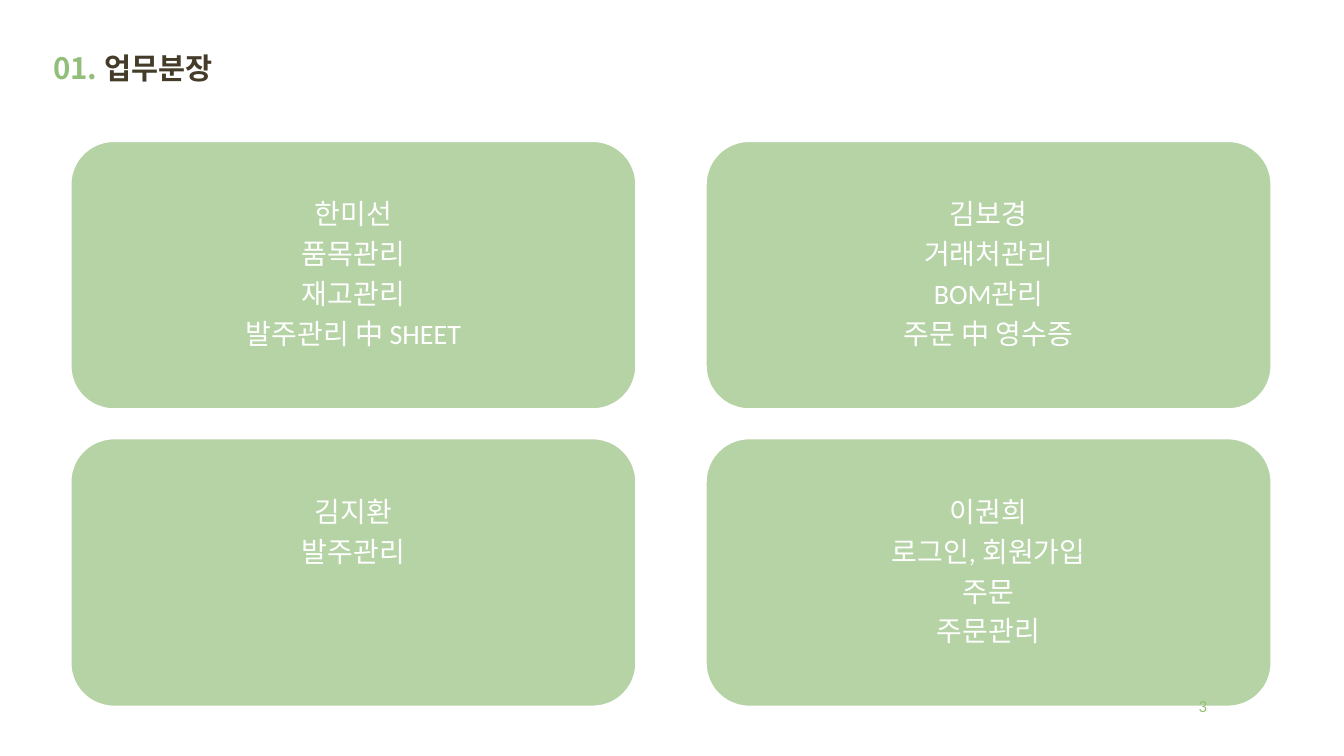
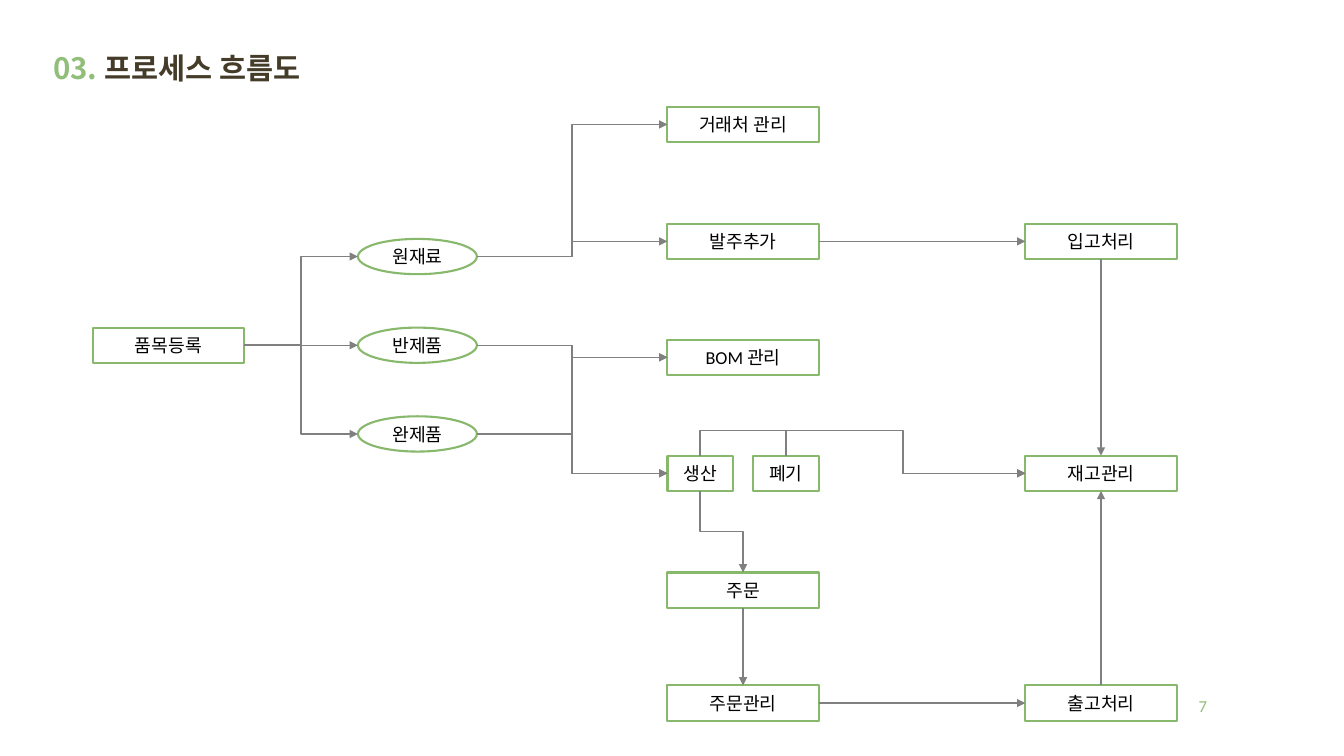
import pptx
import pptx.util
from pptx.dml.color import RGBColor
from pptx.enum.shapes import MSO_CONNECTOR, MSO_SHAPE
from pptx.enum.text import MSO_ANCHOR, PP_ALIGN
from pptx.oxml.ns import qn
from pptx.util import Inches
from lxml import etree

GREEN = RGBColor(0x91, 0xBE, 0x78)
CARD_GREEN = RGBColor(0xB5, 0xD3, 0xA5)
OUTLINE_GREEN = RGBColor(0x87, 0xB8, 0x6C)
BROWN = RGBColor(0x44, 0x3C, 0x29)
GRAY = RGBColor(0x80, 0x80, 0x80)
WHITE = RGBColor(0xFF, 0xFF, 0xFF)
BLACK = RGBColor(0, 0, 0)
LATIN = "Calibri"
HANGUL = "Noto Sans CJK KR"
TOP, LEFT, BOTTOM, RIGHT = range(4)

CARDS = [
    ["한미선", "품목관리", "재고관리", "발주관리 中 SHEET"],
    ["김보경", "거래처관리", "BOM관리", "주문 中 영수증"],
    ["김지환", "발주관리"],
    ["이권희", "로그인, 회원가입", "주문", "주문관리"],
]

BOXES = [
    ("품목등록", 0.92, 3.25, 1.5),
    ("거래처 관리", 6.62, 1.06, 1.5),
    ("발주추가", 6.62, 2.22, 1.5),
    ("BOM 관리", 6.62, 3.37, 1.5),
    ("생산", 6.62, 4.52, 0.65),
    ("폐기", 7.47, 4.52, 0.65),
    ("주문", 6.62, 5.68, 1.5),
    ("주문관리", 6.62, 6.8, 1.5),
    ("입고처리", 10.17, 2.22, 1.5),
    ("재고관리", 10.17, 4.52, 1.5),
    ("출고처리", 10.17, 6.8, 1.5),
]
MATERIALS = ["원재료", "반제품", "완제품"]

ELBOWS = [
    ("품목등록", "원재료"),
    ("품목등록", "완제품"),
    ("원재료", "거래처 관리"),
    ("원재료", "발주추가"),
    ("반제품", "BOM 관리"),
    ("완제품", "BOM 관리"),
    ("반제품", "생산"),
    ("완제품", "생산"),
]
STRAIGHTS = [
    ("품목등록", RIGHT, "반제품", LEFT),
    ("발주추가", RIGHT, "입고처리", LEFT),
    ("주문관리", RIGHT, "출고처리", LEFT),
    ("주문", BOTTOM, "주문관리", TOP),
    ("입고처리", BOTTOM, "재고관리", TOP),
    ("출고처리", TOP, "재고관리", BOTTOM),
]


def style_run(r, size, color, latin=LATIN, bold=False):
    """Set the font of a run for Latin and Hangul letters."""
    r.font.size = pptx.util.Pt(size)
    r.font.bold = bold
    r.font.color.rgb = color
    r.font.name = latin
    etree.SubElement(r.font._element, qn("a:ea"), typeface=HANGUL)


def add_label(s, left, top, width, height):
    """Add a wrapping, vertically centred text box and return its paragraph."""
    tf = s.shapes.add_textbox(*map(Inches, (left, top, width, height))).text_frame
    tf.word_wrap = True
    tf.vertical_anchor = MSO_ANCHOR.MIDDLE
    return tf.paragraphs[0]


def add_title(s, number, title):
    """Add the numbered slide title."""
    p = add_label(s, 0.43, 0.37, 4.36, 0.64)
    p.line_spacing = 0.9
    for text, color in ((number + " ", GREEN), (title, BROWN)):
        r = p.add_run()
        r.text = text
        style_run(r, 21, color, HANGUL, True)


def add_page_number(s, number):
    """Add the page number at the lower right."""
    p = add_label(s, 10.2, 6.8, 1.87, 0.4)
    p.text = str(number)
    p.alignment = PP_ALIGN.RIGHT
    style_run(p.runs[0], 12, GREEN)


def add_box(s, kind, lines, place, size, color):
    """Add a shape with centred lines of text."""
    sp = s.shapes.add_shape(kind, *map(Inches, place))
    sp.shadow.inherit = False
    tf = sp.text_frame
    tf.word_wrap = True
    tf.vertical_anchor = MSO_ANCHOR.MIDDLE
    tf.text = "\n".join(lines)
    for p in tf.paragraphs:
        p.alignment = PP_ALIGN.CENTER
        style_run(p.runs[0], size, color)
    return sp


def add_card(s, lines, left, top):
    """Add a rounded card listing a member and the assigned tasks."""
    sp = add_box(s, MSO_SHAPE.ROUNDED_RECTANGLE, lines, (left, top, 5.65, 2.7), 20, WHITE)
    sp.fill.solid()
    sp.fill.fore_color.rgb = CARD_GREEN
    sp.line.color.rgb = WHITE
    sp.line.width = pptx.util.Pt(4.25)
    tf = sp.text_frame
    tf.vertical_anchor = MSO_ANCHOR.TOP
    tf.margin_top = Inches(0.38)
    for p in tf.paragraphs:
        p.line_spacing = pptx.util.Pt(28.5)


def add_node(s, kind, text, left, top, width):
    """Add an outlined step of the flow chart."""
    sp = add_box(s, kind, [text], (left, top, width, 0.35), 13, BLACK)
    sp.fill.background()
    sp.line.color.rgb = OUTLINE_GREEN
    sp.line.width = pptx.util.Pt(1.5)
    return sp


def side(sp, index):
    """Return the middle of a side of a shape."""
    dx, dy = {TOP: (1, 0), LEFT: (0, 1), BOTTOM: (1, 2), RIGHT: (2, 1)}[index]
    return sp.left + sp.width * dx // 2, sp.top + sp.height * dy // 2


def add_arrow(s, kind, start, end):
    """Add a gray connector with an arrowhead at its end."""
    c = s.shapes.add_connector(kind, *start, *end)
    c.line.color.rgb = GRAY
    c.line.width = pptx.util.Pt(1)
    etree.SubElement(c.line._get_or_add_ln(), qn("a:tailEnd"), type="triangle")
    etree.SubElement(c._element.spPr, qn("a:effectLst"))
    return c


def add_straight(s, first, out, last, into):
    """Join two steps by a straight arrow, glued to rectangles."""
    c = add_arrow(s, MSO_CONNECTOR.STRAIGHT, side(first, out), side(last, into))
    for sp, index, join in ((first, out, c.begin_connect), (last, into, c.end_connect)):
        if sp.auto_shape_type == MSO_SHAPE.RECTANGLE:
            join(sp, index)


def add_upright_elbow(s, start, end, preset="bentConnector3", adjusts=(50000,)):
    """Add an elbow arrow whose first leg is vertical."""
    (x1, y1), (x2, y2) = start, end
    cx, cy = (x1 + x2) // 2, (y1 + y2) // 2
    half_w, half_h = (y2 - y1) // 2, (x2 - x1) // 2
    c = add_arrow(s, MSO_CONNECTOR.ELBOW,
                  (cx + half_w, cy - half_h), (cx - half_w, cy + half_h))
    spPr = c._element.spPr
    spPr.find(qn("a:xfrm")).set("rot", "16200000")
    geom = spPr.find(qn("a:prstGeom"))
    geom.set("prst", preset)
    guides = geom.find(qn("a:avLst"))
    for i, value in enumerate(adjusts, 1):
        etree.SubElement(guides, qn("a:gd"), name=f"adj{i}", fmla=f"val {value}")


def build_roles(s):
    """Build the slide of assigned tasks."""
    add_title(s, "01.", "업무분장")
    for i, lines in enumerate(CARDS):
        add_card(s, lines, 0.68 + i % 2 * 6.3, 1.38 + i // 2 * 2.95)
    add_page_number(s, 3)


def build_flow(s):
    """Build the process flow chart."""
    add_title(s, "03.", "프로세스 흐름도")
    nodes = {}
    for text, left, top, width in BOXES:
        nodes[text] = add_node(s, MSO_SHAPE.RECTANGLE, text, left, top, width)
    for i, text in enumerate(MATERIALS):
        nodes[text] = add_node(s, MSO_SHAPE.OVAL, text, 3.55, 2.37 + i * 0.88, 1.18)
    for first, last in ELBOWS:
        add_arrow(s, MSO_CONNECTOR.ELBOW, side(nodes[first], RIGHT), side(nodes[last], LEFT))
    for first, out, last, into in STRAIGHTS:
        add_straight(s, nodes[first], out, nodes[last], into)
    add_upright_elbow(s, side(nodes["생산"], BOTTOM), side(nodes["주문"], TOP))
    for text, adjusts in (("생산", (-141700, 62400)), ("폐기", (-141700, 48600))):
        add_upright_elbow(s, side(nodes[text], TOP), side(nodes["재고관리"], LEFT),
                          "bentConnector4", adjusts)
    add_page_number(s, 7)


def main():
    """Build and save the presentation."""
    prs = pptx.Presentation()
    prs.slide_width, prs.slide_height = Inches(13.33), Inches(7.5)
    for build in (build_roles, build_flow):
        build(prs.slides.add_slide(prs.slide_layouts[6]))
    prs.save("out.pptx")


if __name__ == "__main__":
    main()
